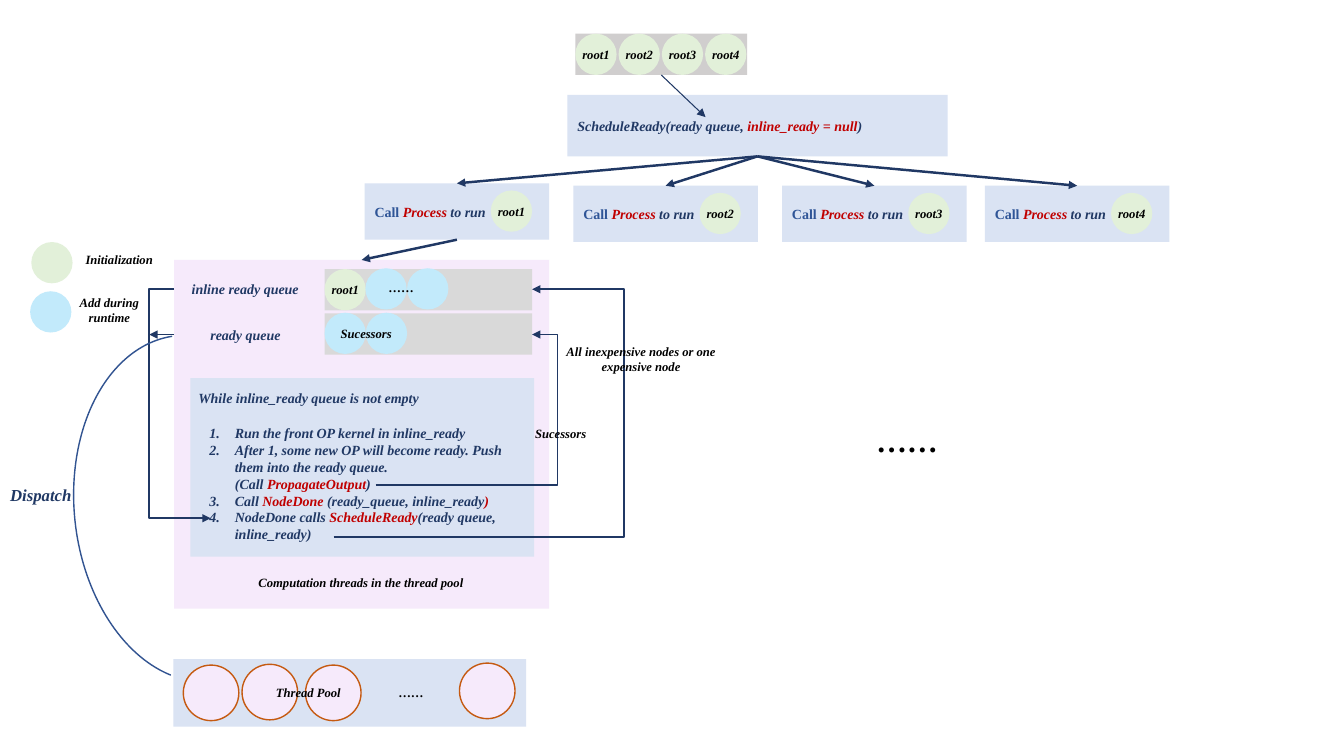
from lxml import etree
from pptx import Presentation
from pptx.dml.color import RGBColor
from pptx.enum.shapes import MSO_CONNECTOR, MSO_SHAPE
from pptx.enum.text import MSO_ANCHOR, PP_ALIGN
from pptx.oxml.ns import qn
from pptx.util import Cm, Pt

RECT, OVAL, ARC = MSO_SHAPE.RECTANGLE, MSO_SHAPE.OVAL, MSO_SHAPE.BLOCK_ARC
STRAIGHT, ELBOW = MSO_CONNECTOR.STRAIGHT, MSO_CONNECTOR.ELBOW
MIDDLE, LEFT, CENTER = MSO_ANCHOR.MIDDLE, PP_ALIGN.LEFT, PP_ALIGN.CENTER
TOP, BOTTOM = 0, 2
NAVY, BLUE, RED, BLACK = "203864", "2F5597", "C00000", "000000"
PALE_BLUE, GREEN, SKY, LILAC = "DAE3F3", "E2F0D9", "C2EAFB", "F6EAFB"
ORANGE = "C55A11"
NODE = 1.04


def rgb(value):
    return RGBColor.from_string(value)


class Diagram:
    font = "Times New Roman"

    def __init__(self, slide):
        self.shapes = slide.shapes

    def shape(self, kind, x, y, w, h, fill, line=None):
        shape = self.shapes.add_shape(kind, Cm(x), Cm(y), Cm(w), Cm(h))
        shape.shadow.inherit = False
        shape.fill.solid()
        shape.fill.fore_color.rgb = rgb(fill)
        if line:
            shape.line.color.rgb = rgb(line)
            shape.line.width = Pt(1)
        else:
            shape.line.fill.background()
        return shape

    def box(self, x, y, w, h, fill):
        return self.shape(RECT, x, y, w, h, fill)

    def circle(self, x, y, fill, size=NODE, line=None):
        return self.shape(OVAL, x, y, size, size, fill, line)

    def set_runs(self, paragraph, runs, size=10, color=NAVY, align=LEFT):
        paragraph.alignment = align
        font = paragraph.font
        font.name, font.size, font.bold, font.italic = self.font, Pt(size), True, True
        font.color.rgb = rgb(color)
        for text, run_color, italic in runs:
            run = paragraph.add_run()
            run.text = text
            if run_color:
                run.font.color.rgb = rgb(run_color)
            if not italic:
                run.font.italic = False

    def fill_text(self, shape, runs):
        shape.text_frame.vertical_anchor = MIDDLE
        self.set_runs(shape.text_frame.paragraphs[0], runs)

    def text_frame(self, x, y, w, h):
        frame = self.shapes.add_textbox(Cm(x), Cm(y), Cm(w), Cm(h)).text_frame
        frame.word_wrap = True
        frame.vertical_anchor = MIDDLE
        return frame

    def label(self, text, x, y, w, h=0.86, size=9, color=BLACK):
        frame = self.text_frame(x, y, w, h)
        frame.margin_left = frame.margin_right = 0
        self.set_runs(frame.paragraphs[0], [(text, None, True)], size, color, CENTER)

    def root(self, text, x, y):
        self.circle(x, y, GREEN)
        self.label(text, x - 0.24, y + 0.09, 1.52)

    def steps(self, items, x, y, w, h):
        frame = self.text_frame(x, y, w, h)
        for i, (start, runs) in enumerate(items):
            paragraph = frame.paragraphs[0] if i == 0 else frame.add_paragraph()
            self.set_runs(paragraph, runs)
            props = paragraph.font._element.getparent()
            props.set("marL", str(Cm(0.64)))
            props.set("indent", str(-Cm(0.64) if start else 0))
            if start:
                number = etree.Element(qn("a:buAutoNum"), type="arabicPeriod")
                if start > 1:
                    number.set("startAt", str(start))
                props.insert(0, number)

    def arrow(self, start, end, width=1.25, kind=STRAIGHT):
        line = self.shapes.add_connector(kind, *[Cm(v) for v in (*start, *end)])
        line.line.color.rgb = rgb(NAVY)
        line.line.width = Pt(width)
        etree.SubElement(line.line._get_or_add_ln(), qn("a:tailEnd"), type="triangle")
        etree.SubElement(line._element.spPr, qn("a:effectLst"))
        return line

    def elbow(self, start, end, bend_x):
        line = self.arrow(start, end, kind=ELBOW)
        ratio = (bend_x - start[0]) / (end[0] - start[0])
        guides = line._element.spPr.find(qn("a:prstGeom")).find(qn("a:avLst"))
        etree.SubElement(guides, qn("a:gd"), name="adj1", fmla=f"val {round(ratio * 100000)}")

    def join(self, upper, lower):
        line = self.arrow((0, 0), (1, 1), 1.75)
        line.begin_connect(upper, BOTTOM)
        line.end_connect(lower, TOP)


def draw_scheduling(d):
    schedule = d.box(14.3, 2.39, 9.58, 1.55, PALE_BLUE)
    d.fill_text(schedule, [("ScheduleReady(ready queue, ", None, True),
                           ("inline_ready = null", RED, True), (")", None, True)])
    root_queue = d.box(14.5, 0.85, 4.33, NODE, "D0CECE")
    for i in range(4):
        d.root(f"root{i + 1}", 14.5 + i * 1.09, 0.85)
    d.arrow((16.66, 1.89), (17.78, 2.95), 0.75).begin_connect(root_queue, BOTTOM)

    calls = []
    for i, (x, y) in enumerate([(9.19, 4.62), (14.45, 4.68), (19.71, 4.68), (24.82, 4.68)]):
        call = d.box(x, y, 4.65, 1.42, PALE_BLUE)
        d.fill_text(call, [("Call ", BLUE, False), ("Process ", RED, True), ("to run", None, True)])
        d.root(f"root{i + 1}", x + 3.18, y + 0.18)
        d.join(schedule, call)
        calls.append(call)
    return calls[0]


def draw_thread(d, first_call):
    thread = d.box(4.39, 6.55, 9.45, 8.79, LILAC)
    d.join(first_call, thread)
    for y in (6.78, 7.9):
        d.box(8.18, y, 5.23, NODE, "D9D9D9")
    d.label("inline ready queue", 4.39, 6.93, 3.58, 0.71, 10, NAVY)
    d.label("ready queue", 5.03, 8.15, 2.31, 0.56, 10, NAVY)
    d.root("root1", 8.18, 6.78)
    for x, y in [(9.21, 6.76), (10.26, 6.76), (8.18, 7.88), (9.22, 7.88)]:
        d.circle(x, y, SKY)
    d.label("……", 9.22, 6.81, 1.8)
    d.label("Sucessors", 8.33, 7.98, 1.8)

    d.box(4.8, 9.53, 8.66, 4.5, PALE_BLUE)
    loop = d.text_frame(4.75, 9.63, 8.66, 0.81)
    d.set_runs(loop.paragraphs[0], [("While inline_ready queue is not empty", None, True)])
    d.steps([
        (1, [("Run the front OP kernel in inline_ready", None, True)]),
        (1, [("After 1, some new OP will become ready. Push them into the ready queue.", None, True)]),
        (None, [("(Call ", None, True), ("PropagateOutput", RED, True), (")", None, True)]),
        (3, [("Call ", None, True), ("NodeDone ", RED, True),
             ("(ready_queue, inline_ready", None, True), (")", RED, True)]),
        (3, [("NodeDone calls ", None, True), ("ScheduleReady", RED, True),
             ("(ready queue, inline_ready)", None, True)]),
    ], 5.03, 10.49, 8.38, 3.4)
    d.label("Computation threads in the thread pool", 4.37, 14.25, 9.45)

    d.elbow((9.47, 12.22), (13.41, 8.43), 14.05)
    d.elbow((4.39, 7.29), (5.31, 13.06), 3.76)
    d.elbow((8.41, 13.54), (13.41, 7.29), 15.72)
    d.arrow((4.39, 8.43), (3.76, 8.43))
    d.label("Sucessors", 13.23, 10.49, 1.8)
    d.label("All inexpensive nodes or one expensive node", 13.97, 8.61, 4.37)
    d.label("……", 17.27, 9.91, 11.23, 2.36, 22)


def draw_legend(d):
    d.circle(0.79, 6.1, GREEN)
    d.label("Initialization", 1.85, 6.12, 2.31)
    d.circle(0.76, 7.34, SKY)
    d.label("Add during runtime", 1.6, 7.39, 2.31)


def draw_pool(d):
    d.box(4.37, 16.61, 8.89, 1.7, PALE_BLUE)
    for x, y in [(4.62, 16.76), (6.1, 16.74), (7.7, 16.76), (11.58, 16.71)]:
        d.circle(x, y, LILAC, 1.4, ORANGE)
    d.label("……", 9.47, 17.02, 1.8)
    d.label("Thread Pool", 5.99, 17.02, 3.56)
    dispatch = d.shape(ARC, 0.53, 9.78, 8.76, 6.07, "4472C4", "325491")
    dispatch.rotation = 263.8
    for i, value in enumerate((116.72, 215.12, 0)):
        dispatch.adjustments[i] = value
    d.label("Dispatch", 0, 12.09, 2.06, 0.74, 12, NAVY)


def main():
    deck = Presentation()
    deck.slide_width, deck.slide_height = Cm(33.87), Cm(19.05)
    diagram = Diagram(deck.slides.add_slide(deck.slide_layouts[6]))
    first_call = draw_scheduling(diagram)
    draw_thread(diagram, first_call)
    draw_legend(diagram)
    draw_pool(diagram)
    deck.save("out.pptx")


if __name__ == "__main__":
    main()
